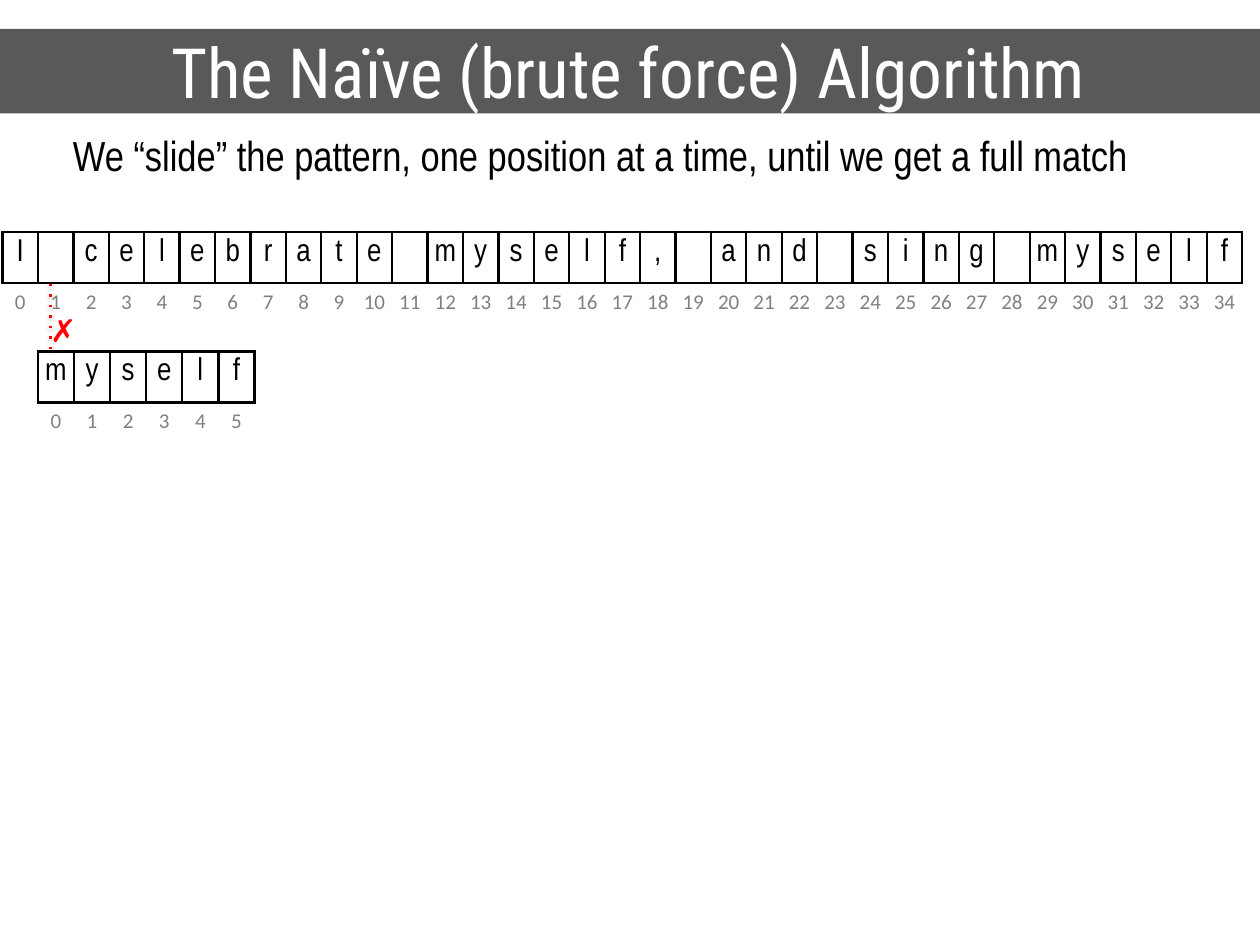
from lxml.etree import SubElement
from pptx import Presentation
from pptx.dml.color import RGBColor
from pptx.enum.shapes import MSO_CONNECTOR, MSO_SHAPE
from pptx.enum.text import MSO_ANCHOR, PP_ALIGN
from pptx.oxml import parse_xml
from pptx.oxml.ns import nsdecls, qn
from pptx.util import Inches, Pt


def color(code):
    return RGBColor.from_string(code)


def write(frame, text, size=18, font="Arial Narrow", ink="000000", align=PP_ALIGN.LEFT):
    para = frame.paragraphs[0]
    para.alignment = align
    run = para.add_run()
    run.text = text
    run.font.size = Pt(size)
    run.font.name = font
    run.font.color.rgb = color(ink)


prs = Presentation()
prs.slide_width, prs.slide_height = Inches(10), Inches(7.5)
slide = prs.slides.add_slide(prs.slide_layouts[6])
shapes = slide.shapes

# Title band
band = shapes.add_shape(MSO_SHAPE.RECTANGLE, Inches(-0.02), Inches(0.23), Inches(10.02), Inches(0.67))
band.shadow.inherit = False
band.fill.solid()
band.fill.fore_color.rgb = color("595959")
band.line.fill.background()
band.text_frame.vertical_anchor = MSO_ANCHOR.MIDDLE
write(band.text_frame, "The Naïve (brute force) Algorithm", size=39.6,
      font="Roboto Condensed", ink="FFFFFF", align=PP_ALIGN.CENTER)

# Text and pattern: boxed letters above their index numbers
for word, left, top, width in [
    ("I celebrate myself, and sing myself", 0.02, 1.84, 9.84),
    ("myself", 0.3, 2.79, 1.72),
]:
    count = len(word)
    table = shapes.add_table(2, count, Inches(left), Inches(top), Inches(width), Inches(0.81)).table
    table.first_row = table.horz_banding = False
    for col in table.columns:
        col.width = Inches(width / count)
    for row in range(2):
        for pos, char in enumerate(word):
            cell = table.cell(row, pos)
            cell.margin_left = cell.margin_right = Inches(0.04)
            if row:
                write(cell.text_frame, str(pos), size=12, font="Calibri",
                      ink="808080", align=PP_ALIGN.CENTER)
            elif char != " ":
                write(cell.text_frame, char, align=PP_ALIGN.CENTER)

            # Letters are boxed; numbers only share the line above them
            props = cell._tc.get_or_add_tcPr()
            for side in ("lnL", "lnR", "lnT", "lnB"):
                edge = SubElement(props, qn("a:" + side), w=str(Pt(1.5)))
                if row == 0 or side == "lnT":
                    fill = SubElement(edge, qn("a:solidFill"))
                    SubElement(fill, qn("a:srgbClr"), val="000000")
                else:
                    SubElement(edge, qn("a:noFill"))
            cell.fill.background()

# Caption and mismatch mark
for text, left, top, width, height, style in [
    ("We “slide” the pattern, one position at a time, until we get a full match",
     0.48, 0.98, 8.65, 0.5, {"size": 24}),
    ("✗", 0.3, 2.42, 0.37, 0.4, {"font": "Arial", "ink": "FF0000"}),
]:
    box = shapes.add_textbox(Inches(left), Inches(top), Inches(width), Inches(height))
    box.text_frame.word_wrap = False
    write(box.text_frame, text, **style)

# Dotted line between the compared letters
link = shapes.add_connector(MSO_CONNECTOR.STRAIGHT, Inches(0.4), Inches(2.25), Inches(0.4), Inches(2.79))
link.line.color.rgb = color("FF0000")
link.line.width = Pt(1.5)
SubElement(link.line._get_or_add_ln(), qn("a:prstDash"), val="dot")
link._element.spPr.append(parse_xml(
    f'<a:effectLst {nsdecls("a")}>'
    f'<a:outerShdw blurRad="{Pt(3.1)}" dist="{Pt(1.6)}" dir="5400000" rotWithShape="0">'
    '<a:srgbClr val="000000"><a:alpha val="38000"/></a:srgbClr>'
    '</a:outerShdw></a:effectLst>'))

prs.save("out.pptx")
